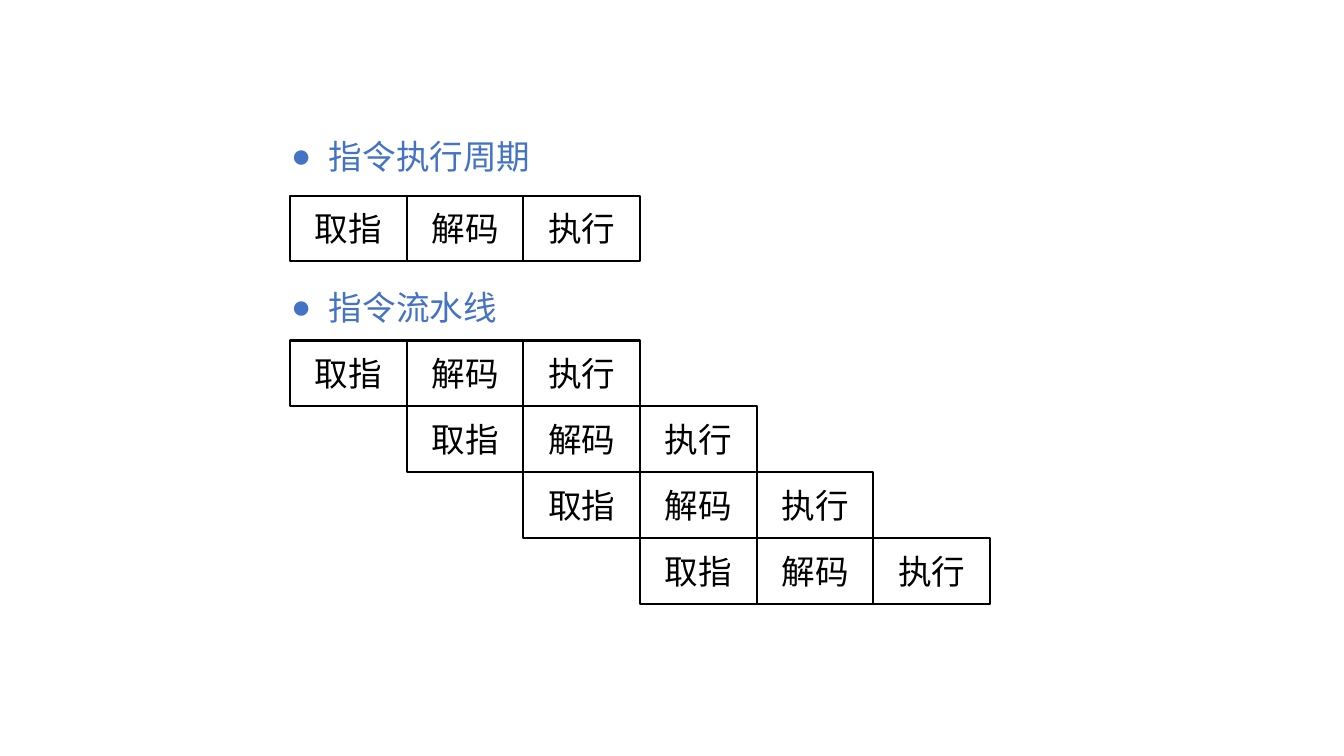
import pptx
import pptx.dml.color
import pptx.enum.shapes
import pptx.enum.text
import pptx.oxml
import pptx.oxml.ns
import pptx.util
from pptx.util import Cm

BLACK = pptx.dml.color.RGBColor(0x00, 0x00, 0x00)
BLUE = pptx.dml.color.RGBColor(0x44, 0x72, 0xC4)
FONT = "Noto Sans CJK SC"
STAGES = ("取指", "解码", "执行")
CELL_W, CELL_H = Cm(2.94), Cm(1.66)
LEFT = Cm(7.31)


def format_text(p, color):
    for r in p.runs:
        r.font.name = FONT
        r.font.size = pptx.util.Pt(24)
        r.font.color.rgb = color
        ea = pptx.oxml.parse_xml(
            f'<a:ea {pptx.oxml.ns.nsdecls("a")} typeface="{FONT}"/>')
        r.font._element.append(ea)


def add_heading(s, text, left, top, width, height):
    tf = s.shapes.add_textbox(left, top, width, height).text_frame
    tf.word_wrap = True
    tf.vertical_anchor = pptx.enum.text.MSO_ANCHOR.MIDDLE
    p = tf.paragraphs[0]
    p.text = text
    pPr = p._p.get_or_add_pPr()
    indent = Cm(0.95)
    pPr.set("marL", str(indent))
    pPr.set("indent", str(-indent))
    for tag in ('buFont typeface="Arial"', 'buChar char="●"'):
        pPr.append(pptx.oxml.parse_xml(
            f'<a:{tag} {pptx.oxml.ns.nsdecls("a")}/>'))
    format_text(p, BLUE)


def add_stage(s, text, left, top, width, height):
    sp = s.shapes.add_shape(
        pptx.enum.shapes.MSO_SHAPE.RECTANGLE, left, top, width, height)
    sp.shadow.inherit = False
    sp.fill.background()
    sp.line.color.rgb = BLACK
    sp.line.width = pptx.util.Pt(1.5)
    tf = sp.text_frame
    tf.margin_top = tf.margin_bottom = 0
    tf.vertical_anchor = pptx.enum.text.MSO_ANCHOR.MIDDLE
    p = tf.paragraphs[0]
    p.text = text
    p.alignment = pptx.enum.text.PP_ALIGN.CENTER
    format_text(p, BLACK)


def add_pipeline(s, left, top, cell_w, cell_h, instructions):
    for row in range(instructions):
        for col, stage in enumerate(STAGES, start=row):
            add_stage(s, stage, left + col * cell_w, top + row * cell_h,
                      cell_w, cell_h)


def main():
    prs = pptx.Presentation()
    prs.slide_width, prs.slide_height = Cm(33.87), Cm(19.05)
    s = prs.slides.add_slide(prs.slide_layouts[6])
    add_heading(s, "指令执行周期", Cm(7.09), Cm(3.3), Cm(8.05), Cm(1.27))
    add_pipeline(s, LEFT, Cm(4.93), CELL_W, CELL_H, 1)
    add_heading(s, "指令流水线", Cm(7.09), Cm(7.11), Cm(8.05), Cm(1.27))
    add_pipeline(s, LEFT, Cm(8.58), CELL_W, CELL_H, 4)
    prs.save("out.pptx")


if __name__ == "__main__":
    main()
